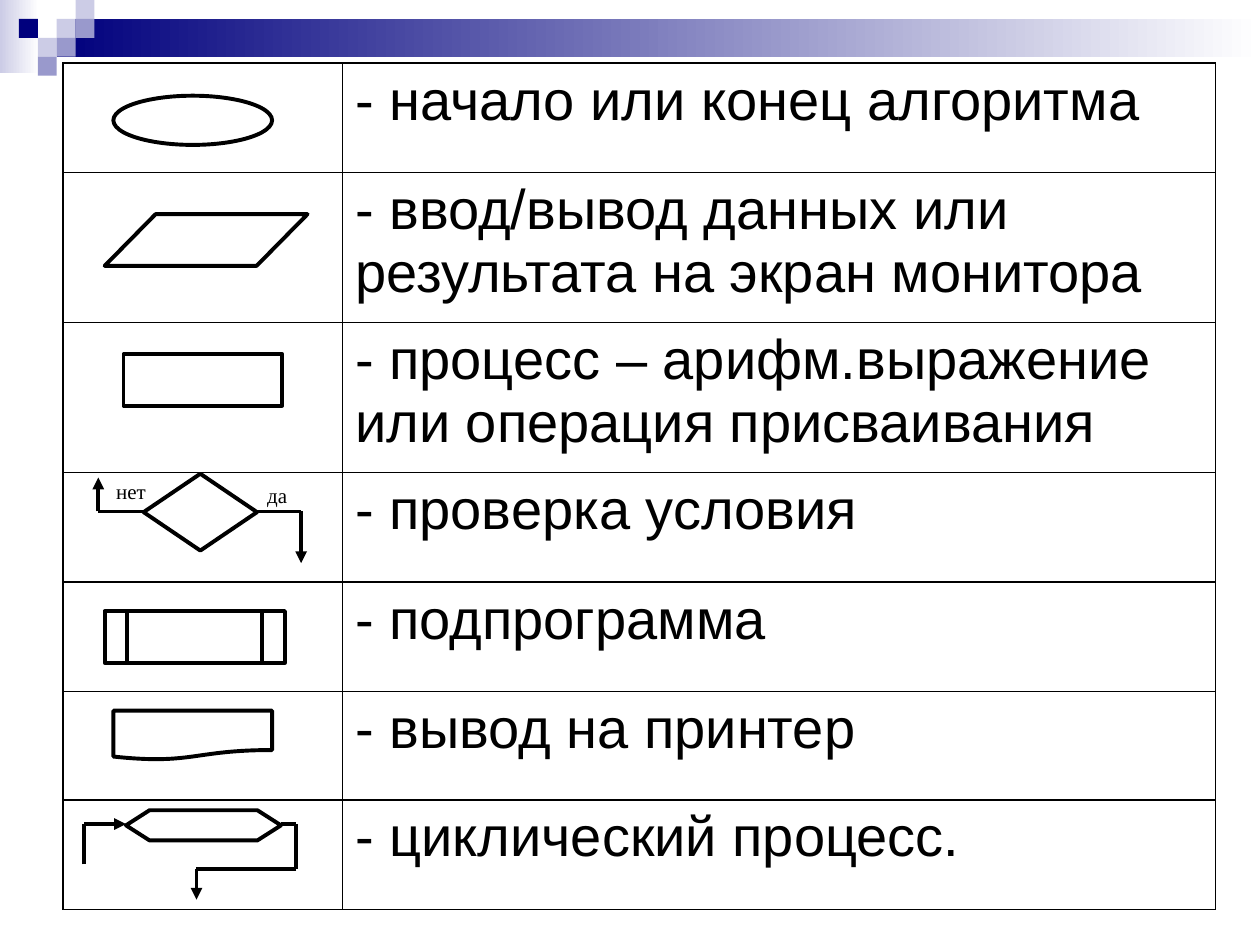
from itertools import accumulate, pairwise

from pptx import Presentation
from pptx.dml.color import RGBColor
from pptx.enum import shapes, text
from pptx.oxml import parse_xml
from pptx.oxml.ns import nsdecls
from pptx.util import Pt

MSO = shapes.MSO_SHAPE
BLACK, NAVY, LILAC, VIOLET, WHITE = "000000", "00007D", "CCCCE6", "9999CC", "FFFFFF"
COLS = [159.8, 499]
ROWS = [62.6, 85.7, 85.7, 62.6, 62.6, 61.9, 62.6]
MEANINGS = [
    "- начало или конец алгоритма",
    "- ввод/вывод данных или результата на экран монитора",
    "- процесс – арифм.выражение или операция присваивания",
    "- проверка условия",
    "- подпрограмма",
    "- вывод на принтер",
    "- циклический процесс.",
]


def rgb(h):
    return RGBColor.from_string(h)


def style(r, name, size):
    r.font.name, r.font.size, r.font.bold = name, Pt(size), False
    r.font.color.rgb = rgb(BLACK)


def block(s, x, y, w, h, color, fade_to=None):
    """Borderless rectangle, plain or fading from left to right."""
    sp = s.shapes.add_shape(MSO.RECTANGLE, Pt(x), Pt(y), Pt(w), Pt(h))
    sp.shadow.inherit = False
    sp.line.fill.background()
    if fade_to:
        sp.fill.gradient()
        sp.fill.gradient_angle = 0
        for stop, c, pos in zip(sp.fill.gradient_stops, (color, fade_to), (0, 1)):
            stop.color.rgb, stop.position = rgb(c), pos
    else:
        sp.fill.solid()
        sp.fill.fore_color.rgb = rgb(color)


def symbol(s, x, y, kind, dx, dy, w, h, adj=None):
    """Outlined flowchart symbol, offset from its cell corner."""
    sp = s.shapes.add_shape(kind, Pt(x + dx), Pt(y + dy), Pt(w), Pt(h))
    sp.shadow.inherit = False
    sp.fill.background()
    sp.line.color.rgb, sp.line.width = rgb(BLACK), Pt(2.25)
    if adj is not None:
        sp.adjustments[0] = adj


def route(s, x, y, points, arrow=True):
    """Chain of straight lines, with an arrowhead on the last one."""
    for a, b in pairwise(points):
        c = s.shapes.add_connector(shapes.MSO_CONNECTOR.STRAIGHT, Pt(x + a[0]),
                                   Pt(y + a[1]), Pt(x + b[0]), Pt(y + b[1]))
        c.line.color.rgb, c.line.width = rgb(BLACK), Pt(2.25)
        if arrow and b == points[-1]:
            c.line._get_or_add_ln().append(
                parse_xml(f'<a:tailEnd {nsdecls("a")} type="triangle"/>'))
        c._element.spPr.append(parse_xml(f'<a:effectLst {nsdecls("a")}/>'))


def label(s, x, y, w, h, words):
    tf = s.shapes.add_textbox(Pt(x), Pt(y), Pt(w), Pt(h)).text_frame
    tf.word_wrap = True
    tf.text = words
    p = tf.paragraphs[0]
    p.alignment = text.PP_ALIGN.CENTER
    style(p.runs[0], "Times New Roman", 12)


def header(s, x, y, w):
    """Gradient bar and a mosaic of small squares."""
    block(s, x, y, 22.3, 41.8, LILAC, WHITE)
    block(s, x + 32.4, y + 10.8, w - 32.4, 21.6, NAVY, WHITE)
    side = 10.8
    mosaic = [(3, 1, LILAC), (4, 0, LILAC), (4, 1, VIOLET), (2, 2, LILAC),
              (1, 1, NAVY), (3, 2, VIOLET), (2, 3, VIOLET)]
    for col, row, color in mosaic:
        block(s, x + col * side, y + row * side, side, side, color)


def borders(cell, widths):
    """Black cell borders: left, right, top, bottom."""
    tcPr = cell._tc.get_or_add_tcPr()
    for i, (tag, w) in enumerate(zip(("lnL", "lnR", "lnT", "lnB"), widths)):
        tcPr.insert(i, parse_xml(
            f'<a:{tag} {nsdecls("a")} w="{Pt(w)}"><a:solidFill>'
            f'<a:srgbClr val="{BLACK}"/></a:solidFill></a:{tag}>'))


def legend(s, x, y):
    """Table with an empty symbol column and a column of meanings."""
    t = s.shapes.add_table(len(ROWS), len(COLS), Pt(x), Pt(y),
                           Pt(sum(COLS)), Pt(sum(ROWS))).table
    t.first_row = t.horz_banding = False
    for col, w in zip(t.columns, COLS):
        col.width = Pt(w)
    last = len(ROWS) - 1
    for i, (h, words) in enumerate(zip(ROWS, MEANINGS)):
        t.rows[i].height = Pt(h)
        top, bottom = (0.75 if i == 0 else 1), (0.75 if i == last else 1)
        for j in range(len(COLS)):
            cell = t.cell(i, j)
            cell.fill.background()
            borders(cell, (1, 0.75, top, bottom) if j else (0.75, 1, top, bottom))
        p = t.cell(i, 1).text_frame.paragraphs[0]
        p.text = words
        style(p.runs[0], "Arial", 32)


def decision(s, x, y):
    """Diamond with its "no" and "yes" branches."""
    mid = 22.3
    route(s, x, y, [(46.1, mid), (20.2, mid), (20.2, 2.9)])
    symbol(s, x, y, MSO.DIAMOND, 46.1, 0.7, 64.8, 43.9)
    route(s, x, y, [(110.5, mid), (136.1, mid), (136.1, 51.8)])
    label(s, x + 6.5, y, 64.8, 29.5, "нет")
    label(s, x + 96.5, y + 2.2, 51.8, 29.5, "да")


def loop(s, x, y):
    """Hexagon with the entry and exit of a cycle."""
    mid = 13.8
    symbol(s, x, y, MSO.HEXAGON, 36, 5.9, 88.6, 17.3, 0.781)
    route(s, x, y, [(12.2, 36.8), (12.2, mid), (36, mid)])
    route(s, x, y, [(124.6, mid), (133.2, mid), (133.2, 39.7), (76.3, 39.7), (76.3, 57)])


def symbols(s, x, y):
    """One symbol in each row of the first column."""
    tops = list(accumulate(ROWS[:-1], initial=y))
    single = [
        (0, MSO.OVAL, 28.8, 18.7, 90.7, 28.1),
        (1, MSO.PARALLELOGRAM, 23.8, 23.8, 115.9, 29.5, 0.985),
        (2, MSO.RECTANGLE, 34.6, 18, 90.7, 29.5),
        (4, MSO.FLOWCHART_PREDEFINED_PROCESS, 23.8, 16.6, 103, 29.5),
        (5, MSO.FLOWCHART_DOCUMENT, 28.8, 10.9, 90.7, 28.1),
    ]
    for row, *shape in single:
        symbol(s, x, tops[row], *shape)
    decision(s, x, tops[3])
    loop(s, x, tops[6])


def main():
    prs = Presentation()
    prs.slide_width, prs.slide_height = Pt(720), Pt(540)
    s = prs.slides.add_slide(prs.slide_layouts[6])
    header(s, 0, 0, 720)
    legend(s, 36, 36)
    symbols(s, 36, 36)
    prs.save("out.pptx")


if __name__ == "__main__":
    main()
